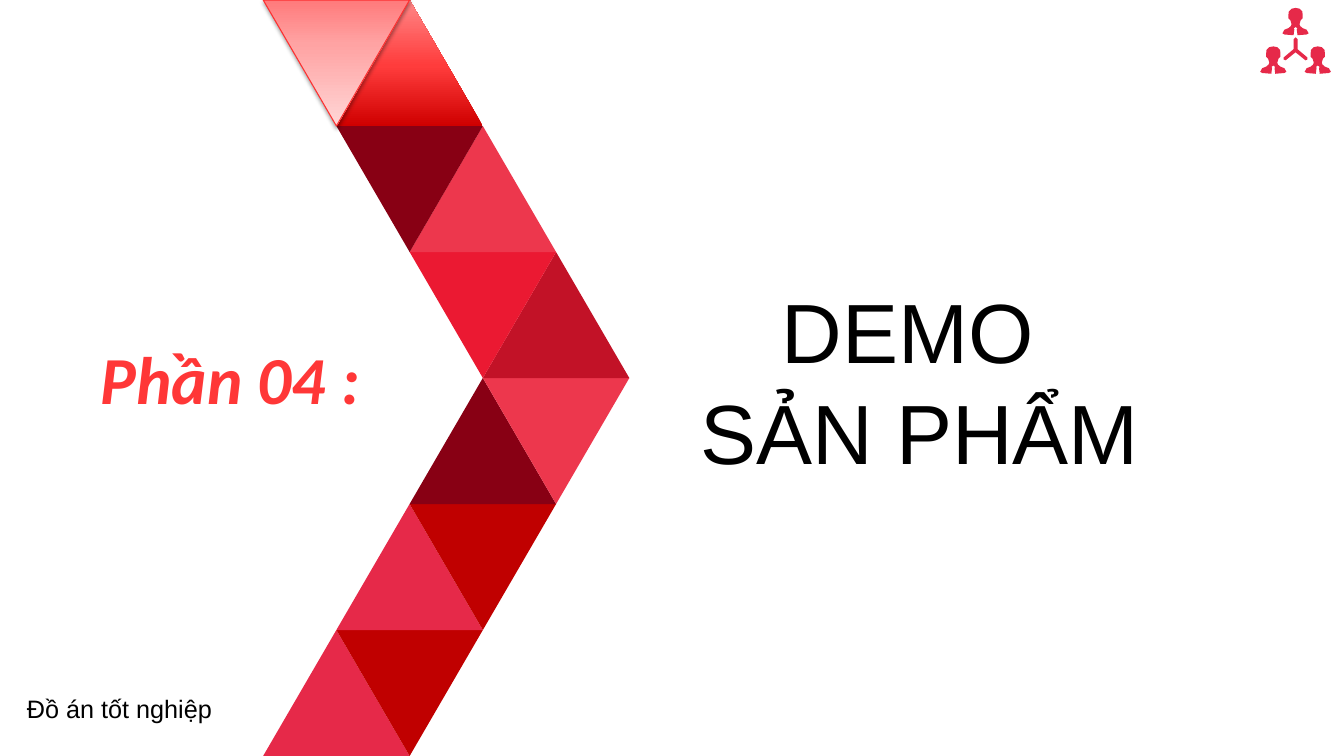
"""Build the section slide that opens the product demo."""
from lxml.etree import SubElement
from pptx import Presentation
from pptx.dml.color import RGBColor
from pptx.enum.shapes import MSO_SHAPE
from pptx.enum.text import MSO_AUTO_SIZE, PP_ALIGN
from pptx.oxml.ns import qn
from pptx.util import Cm, Pt

COLORS = {
    "black": "000000",
    "title": "FF3737",
    "outline": "FD3030",
    "maroon": "880014",
    "coral": "ED374D",
    "scarlet": "EB1932",
    "crimson": "C21227",
    "dark_red": "C00000",
    "rose": "E62949",
}
RED_GRADIENT = [(0, "CF0000"), (48, "FF3C3C"), (100, "FF8787")]
PINK_GRADIENT = [(0, "FF7A7B"), (35, "FFA3A3"), (100, "FFD6D6")]

WIDTH, HEIGHT = 33.86, 19.05
CHEVRON_LEFT, SIDE = 6.63, 3.69
CHEVRON_ROWS = [
    (RED_GRADIENT, PINK_GRADIENT),
    ("coral", "maroon"),
    ("crimson", "scarlet"),
    ("maroon", "coral"),
    ("rose", "dark_red"),
    ("rose", "dark_red"),
]

PERSON_HALF = [
    (0, 0), (0.1, 0.02), (0.17, 0.09), (0.18, 0.18), (0.18, 0.26),
    (0.13, 0.31), (0.1, 0.41), (0.12, 0.46), (0.18, 0.51), (0.28, 0.55),
    (0.33, 0.64), (0.28, 0.67), (0.05, 0.69), (0.03, 0.54), (0.05, 0.52),
    (0, 0.48),
]
LINK_HALF = [
    (0, 0), (0.05, 0.05), (0.05, 0.3), (0.3, 0.51), (0.3, 0.56),
    (0.25, 0.58), (0, 0.38),
]
TEAM_ICON = [
    (33.2, 1.17, PERSON_HALF),
    (32.08, 1.17, PERSON_HALF),
    (32.64, 0.94, LINK_HALF),
    (32.64, 0.2, PERSON_HALF),
]


class SlideBuilder:
    """Hold the colours and the current slide, and add styled elements."""

    def __init__(self, slide, colors):
        self.slide = slide
        self.colors = colors

    def color(self, name):
        return RGBColor.from_string(self.colors[name])

    def paint(self, shape, fill):
        shape.shadow.inherit = False
        shape.line.fill.background()
        if isinstance(fill, str):
            shape.fill.solid()
            shape.fill.fore_color.rgb = self.color(fill)
            return
        shape.fill.gradient()
        shape.fill.gradient_angle = 90
        stops = shape._element.spPr.find(qn("a:gradFill")).find(qn("a:gsLst"))
        for stop in list(stops):
            stops.remove(stop)
        for position, value in fill:
            stop = SubElement(stops, qn("a:gs"), pos=str(position * 1000))
            SubElement(stop, qn("a:srgbClr"), val=value)

    def triangle(self, left, top, height, fill, pointing_down=False):
        shape = self.slide.shapes.add_shape(
            MSO_SHAPE.ISOSCELES_TRIANGLE, Cm(left), Cm(top), Cm(SIDE), Cm(height))
        shape.rotation = 180 if pointing_down else 0
        self.paint(shape, fill)
        return shape

    def raise_shape(self, shape):
        shape.line.color.rgb = self.color("outline")
        shape.line.width = Pt(0.75)
        effects = shape._element.spPr.find(qn("a:effectLst"))
        shadow = SubElement(
            effects, qn("a:outerShdw"), blurRad=str(Pt(3.1)), dist=str(Pt(1.6)),
            dir="5400000", rotWithShape="0")
        shade = SubElement(shadow, qn("a:srgbClr"), val=self.colors["black"])
        SubElement(shade, qn("a:alpha"), val="37000")

    def chevron(self, rows):
        height = HEIGHT / len(rows)
        middle = len(rows) // 2
        for row, (up_fill, down_fill) in reversed(list(enumerate(rows))):
            upper = row < middle
            inner_step = row if upper else len(rows) - 1 - row
            inner = CHEVRON_LEFT + inner_step * SIDE / 2
            outer = inner + SIDE / 2
            up_left, down_left = (outer, inner) if upper else (inner, outer)
            self.triangle(up_left, row * height, height, up_fill)
            last = self.triangle(down_left, row * height, height, down_fill, True)
        self.raise_shape(last)

    def symmetric_freeform(self, parts, fill):
        builder = None
        for center, top, half in parts:
            mirrored = [(-x, y) for x, y in reversed(half[1:-1])]
            points = [(Cm(center + x), Cm(top + y)) for x, y in half + mirrored]
            if builder is None:
                builder = self.slide.shapes.build_freeform(*points[0], scale=1.0)
            else:
                builder.move_to(*points[0])
            builder.add_line_segments(points[1:], close=True)
        self.paint(builder.convert_to_shape(), fill)

    def text(self, box, lines, font, size, color="black", align=PP_ALIGN.LEFT,
             strong=False, grow=True):
        shape = self.slide.shapes.add_textbox(*(Cm(length) for length in box))
        frame = shape.text_frame
        frame.word_wrap = True
        frame.auto_size = MSO_AUTO_SIZE.SHAPE_TO_FIT_TEXT if grow else MSO_AUTO_SIZE.NONE
        for index, line in enumerate(lines):
            paragraph = frame.add_paragraph() if index else frame.paragraphs[0]
            paragraph.alignment = align
            run = paragraph.add_run()
            run.text = line
            run.font.name = font
            run.font.size = Pt(size)
            run.font.bold = run.font.italic = strong
            run.font.color.rgb = self.color(color)


def main():
    presentation = Presentation()
    presentation.slide_width = Cm(WIDTH)
    presentation.slide_height = Cm(HEIGHT)
    slide = presentation.slides.add_slide(presentation.slide_layouts[6])
    builder = SlideBuilder(slide, COLORS)
    builder.chevron(CHEVRON_ROWS)
    builder.text((2.29, 8.38, 10.46, 2.29), ["Phần 04 :"], "Calibri", 48,
                 color="title", strong=True)
    builder.text((16.31, 6.93, 13.72, 5.38), ["DEMO ", "SẢN PHẨM"], "Arial", 60,
                 align=PP_ALIGN.CENTER)
    builder.symmetric_freeform(TEAM_ICON, "rose")
    builder.text((0.43, 17.35, 7.19, 1.02), ["Đồ án tốt nghiệp"], "Arial", 18,
                 grow=False)
    presentation.save("out.pptx")


if __name__ == "__main__":
    main()
